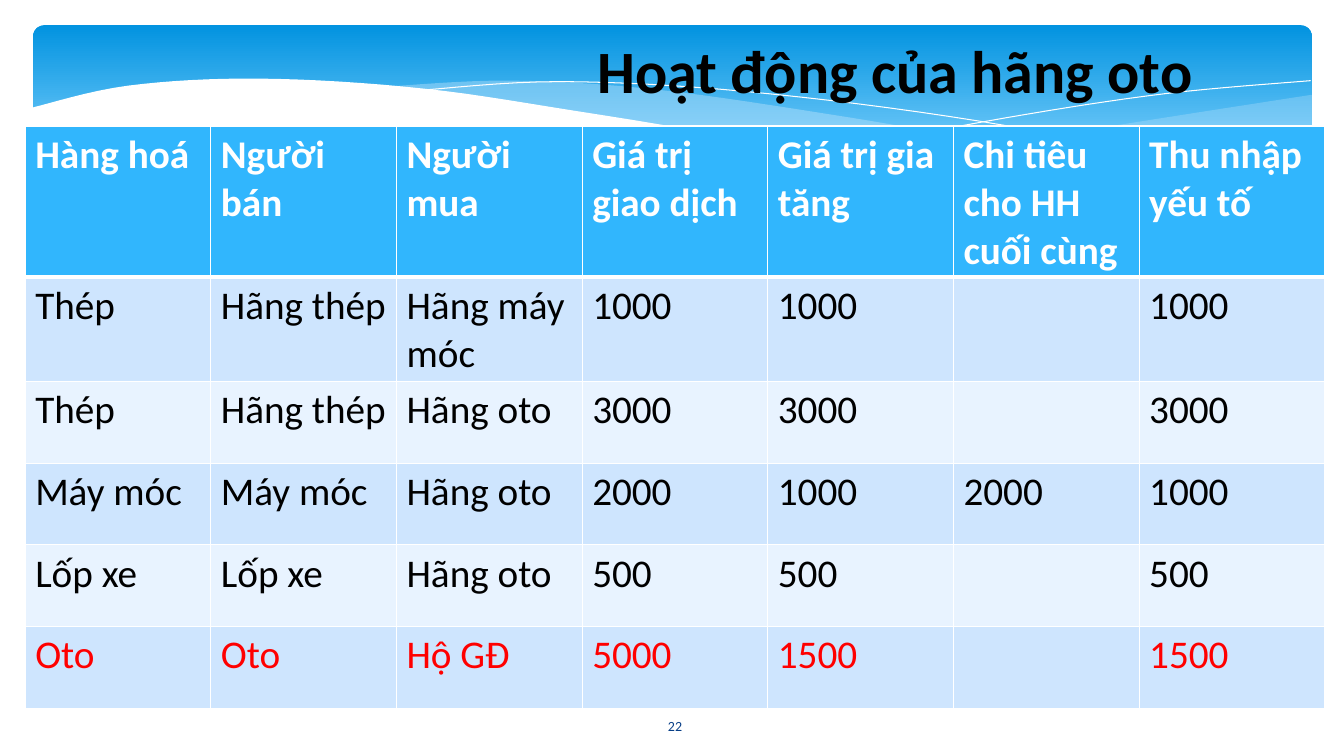
import lxml.etree
import pptx
import pptx.dml.color
import pptx.enum.shapes
import pptx.enum.text
import pptx.oxml.ns
import pptx.util
from pptx.util import Inches

COLORS = {
    "white": "FFFFFF", "black": "000000", "red": "FF0000", "navy": "073E87",
    "sky_top": "0293E0", "sky_bottom": "83D3FE", "mist": "C6E7FC",
    "header": "31B6FD", "band_dark": "CEE5FE", "band_light": "E8F3FF",
}
RGB = {name: pptx.dml.color.RGBColor.from_string(code) for name, code in COLORS.items()}
qn = pptx.oxml.ns.qn


def write(frame, text, color, align=pptx.enum.text.PP_ALIGN.LEFT, **font_format):
    paragraph = frame.paragraphs[0]
    paragraph.alignment = align
    run = paragraph.add_run()
    run.text = text
    run.font.color.rgb = RGB[color]
    for attribute, value in {"name": "Calibri", **font_format}.items():
        setattr(run.font, attribute, value)


def smooth(knots, steps=8):
    """Catmull-Rom curve through the knots, in slide lengths."""
    padded = [knots[0], *knots, knots[-1]]
    curve = []
    for a, b, c, d in zip(padded, padded[1:], padded[2:], padded[3:]):
        for t in (step / steps for step in range(steps)):
            curve.append([
                Inches(q + t * (r - p) / 2 + t**2 * (p - 2.5 * q + 2 * r - s / 2)
                       + t**3 * (3 * q - p - 3 * r + s) / 2)
                for p, q, r, s in zip(a, b, c, d)])
    return curve + [[Inches(value) for value in knots[-1]]]


prs = pptx.Presentation()
prs.slide_width, prs.slide_height = Inches(13.33), Inches(7.5)
slide = prs.slides.add_slide(prs.slide_layouts[6])

# Blue banner
banner = slide.shapes.add_shape(
    pptx.enum.shapes.MSO_SHAPE.ROUNDED_RECTANGLE,
    Inches(0.33), Inches(0.25), Inches(12.68), Inches(1.56))
banner.adjustments[0] = 0.07
banner.shadow.inherit = False
banner.line.fill.background()
banner.fill.gradient()
banner.fill.gradient_angle = 270
for stop, position, color in zip(banner.fill.gradient_stops, (0, 0.9), ("sky_top", "sky_bottom")):
    stop.position = position
    stop.color.rgb = RGB[color]

# Waves over the banner: fill (None for a hairline), opacity in percent, smooth edges
waves = [
    ("mist", 29, [
        [(13.01, 0.94), (11.47, 1.18), (8.82, 1.6)],
        [(8.82, 1.6), (10.71, 1.72), (11.96, 1.65), (13.01, 1.42)]]),
    ("mist", 40, [
        [(11.9, 1.67), (10.34, 1.49), (8.39, 1.16), (6.52, 0.89), (5.06, 0.8), (3.82, 0.86)],
        [(3.82, 0.86), (5.99, 1.16), (8.46, 1.56), (10.46, 1.72), (11.9, 1.67)]]),
    (None, 100, [
        [(4.12, 0.9), (5.55, 0.81), (7.42, 0.91), (9.7, 1.2), (12.1, 1.66)]]),
    (None, 100, [
        [(8.18, 1.51), (9.97, 1.17), (11.55, 0.93), (13, 0.8)]]),
    ("white", 100, [
        [(13.03, 1.4), (12.13, 1.62), (10.78, 1.71), (8.63, 1.56), (5.96, 1.14),
         (4.21, 0.88), (2.58, 0.78), (1.27, 0.85), (0.31, 1.07)],
        [(0.31, 2.24), (13.03, 2.24)]]),
]
for color, opacity, edges in waves:
    start, *rest = [point for edge in edges for point in smooth(edge)]
    builder = slide.shapes.build_freeform(*start)
    builder.add_line_segments(rest, close=color is not None)
    wave = builder.convert_to_shape()
    wave.shadow.inherit = False
    if color is None:
        wave.fill.background()
        wave.line.color.rgb = RGB["white"]
        wave.line.width = pptx.util.Pt(0)
        continue
    wave.line.fill.background()
    wave.fill.solid()
    wave.fill.fore_color.rgb = RGB[color]
    if opacity < 100:
        tint = wave._element.spPr.find(qn("a:solidFill"))[0]
        lxml.etree.SubElement(tint, qn("a:alpha"), val=str(opacity * 1000))

# Slide number and title
labels = [
    ("22", (5.85, 7, 1.69, 0.4), "navy", 10, False, pptx.enum.text.MSO_ANCHOR.MIDDLE),
    ("Hoạt động của hãng oto", (4.08, 0.28, 9.59, 1.37), "black", 42.9, True,
     pptx.enum.text.MSO_ANCHOR.TOP),
]
for text, place, color, size, bold, anchor in labels:
    frame = slide.shapes.add_textbox(*map(Inches, place)).text_frame
    frame.word_wrap = True
    frame.vertical_anchor = anchor
    write(frame, text, color, pptx.enum.text.PP_ALIGN.CENTER, size=pptx.util.Pt(size), bold=bold)

# Transactions table
transactions = [
    ["Hàng hoá", "Người bán", "Người mua", "Giá trị giao dịch", "Giá trị gia tăng",
     "Chi tiêu cho HH cuối cùng", "Thu nhập yếu tố"],
    ["Thép", "Hãng thép", "Hãng máy móc", "1000", "1000", "", "1000"],
    ["Thép", "Hãng thép", "Hãng oto", "3000", "3000", "", "3000"],
    ["Máy móc", "Máy móc", "Hãng oto", "2000", "1000", "2000", "1000"],
    ["Lốp xe", "Lốp xe", "Hãng oto", "500", "500", "", "500"],
    ["Oto", "Oto", "Hộ GĐ", "5000", "1500", "", "1500"],
]
table = slide.shapes.add_table(
    len(transactions), len(transactions[0]),
    Inches(0.25), Inches(1.25), Inches(12.89), Inches(0.81 * len(transactions))).table
for r, transaction in enumerate(transactions):
    is_header = r == 0
    if is_header:
        band, ink = "header", "white"
    else:
        band = "band_dark" if r % 2 else "band_light"
        ink = "red" if transaction[0] == "Oto" else "black"
    border_widths = {"lnL": 1, "lnR": 1, "lnT": 3 if r == 1 else 1, "lnB": 3 if is_header else 1}
    for c, text in enumerate(transaction):
        cell = table.cell(r, c)
        properties = cell._tc.get_or_add_tcPr()
        for side, width in border_widths.items():
            border = lxml.etree.SubElement(properties, qn("a:" + side), w=str(pptx.util.Pt(width)))
            paint = lxml.etree.SubElement(border, qn("a:solidFill"))
            lxml.etree.SubElement(paint, qn("a:srgbClr"), val=COLORS["white"])
        cell.fill.solid()
        cell.fill.fore_color.rgb = RGB[band]
        if text:
            write(cell.text_frame, text, ink, size=pptx.util.Pt(28), bold=is_header)

prs.save("out.pptx")
